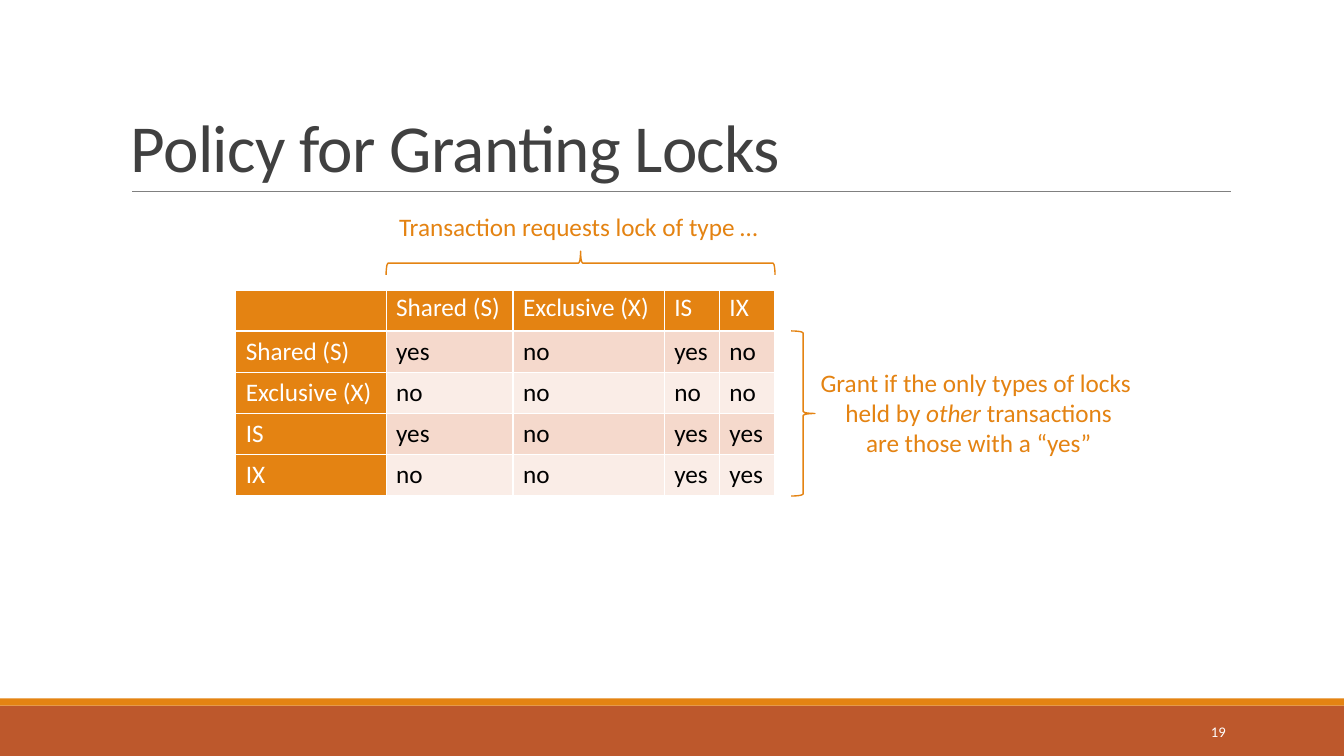
from lxml.etree import SubElement
from pptx import Presentation
from pptx.dml.color import RGBColor
from pptx.enum.shapes import MSO_CONNECTOR as LINE, MSO_SHAPE as SHAPE
from pptx.enum.text import MSO_ANCHOR as ANCHOR, PP_ALIGN as ALIGN
from pptx.oxml.ns import qn
from pptx.util import Cm, Pt

# Content
TITLE = "Policy for Granting Locks"
PAGE = "19"
REQUEST = [[("Transaction requests lock of type …", False)]]
GRANT = [
    [("Grant if the only types of locks ", False)],
    [("held by ", False), ("other", True), (" transactions", False)],
    [("are those with a “yes”", False)],
]
LOCKS = ["Shared (S)", "Exclusive (X)", "IS", "IX"]
GRANTED = [
    ["yes", "no", "yes", "no"],
    ["no", "no", "no", "no"],
    ["yes", "no", "yes", "yes"],
    ["no", "no", "yes", "yes"],
]

# Style and measures (cm)
FONT = "Calibri"
COLORS = {
    "orange": "E48312", "rust": "BD582C", "title": "404040", "rule": "808080",
    "white": "FFFFFF", "black": "000000", "odd": "F5D9CC", "even": "FAEDE7",
}
WIDTH, HEIGHT = 33.87, 19.05
TABLE_LEFT, TABLE_TOP = 5.94, 7.32
COLS = [3.79, 3.2, 3.81, 1.39, 1.4]
ROWS = [1.02] + [1.04] * len(LOCKS)
BRACE = 0.6  # depth of both braces


def rgb(name):
    return RGBColor.from_string(COLORS[name])


def style(font, size, color, italic=False):
    font.name, font.size, font.italic = FONT, Pt(size), italic
    font.color.rgb = rgb(color)


def add_text(x, y, w, h, lines, size, color, align, anchor=ANCHOR.TOP, wrap=False):
    tf = s.shapes.add_textbox(Cm(x), Cm(y), Cm(w), Cm(h)).text_frame
    tf.word_wrap, tf.vertical_anchor = wrap, anchor
    p = tf.paragraphs[0]
    p.alignment = align
    for i, line in enumerate(lines):
        if i:
            p.add_line_break()
        for text, italic in line:
            r = p.add_run()
            r.text = text
            style(r.font, size, color, italic)
    return p


def add_bar(y, h, color):
    sp = s.shapes.add_shape(SHAPE.RECTANGLE, 0, Cm(y), Cm(WIDTH), Cm(h))
    sp.shadow.inherit = False
    sp.fill.solid()
    sp.fill.fore_color.rgb = rgb(color)
    sp.line.fill.background()


def add_brace(kind, cx, cy, length, rotation=0):
    sp = s.shapes.add_shape(kind, Cm(cx - BRACE / 2), Cm(cy - length / 2),
                            Cm(BRACE), Cm(length))
    sp.rotation = rotation
    sp.shadow.inherit = False
    sp.fill.background()
    sp.line.color.rgb, sp.line.width = rgb("orange"), Pt(1)


def add_borders(cell, bottom):
    tc_pr = cell._tc.get_or_add_tcPr()
    for i, (side, pt) in enumerate([("L", 1), ("R", 1), ("T", 1), ("B", bottom)]):
        ln = tc_pr.makeelement(qn(f"a:ln{side}"), {"w": str(Pt(pt))})
        fill = SubElement(ln, qn("a:solidFill"))
        SubElement(fill, qn("a:srgbClr"), val=COLORS["white"])
        tc_pr.insert(i, ln)  # borders precede the fill


prs = Presentation()
prs.slide_width, prs.slide_height = Cm(WIDTH), Cm(HEIGHT)
s = prs.slides.add_slide(prs.slide_layouts[6])

# Footer bars and title rule
add_bar(17.78, 1.27, "rust")
add_bar(17.6, 0.18, "orange")
rule = s.shapes.add_connector(LINE.STRAIGHT, Cm(3.33), Cm(4.82), Cm(31.01), Cm(4.82))
rule.line.color.rgb, rule.line.width = rgb("rule"), Pt(0.5)
SubElement(rule._element.spPr, qn("a:effectLst"))

# Title and page number
p = add_text(3.05, 0.79, 27.94, 4.04, [[(TITLE, False)]], 48, "title",
             ALIGN.LEFT, ANCHOR.BOTTOM, True)
p.line_spacing = 0.85
p.runs[0]._r.get_or_add_rPr().set("spc", "-50")
add_text(27.51, 17.93, 3.63, 1.02, [[(PAGE, False)]], 10.5, "white",
         ALIGN.RIGHT, ANCHOR.MIDDLE, True)

# Lock compatibility table
table = s.shapes.add_table(len(ROWS), len(COLS), Cm(TABLE_LEFT), Cm(TABLE_TOP),
                           Cm(sum(COLS)), Cm(sum(ROWS))).table
for col, w in zip(table.columns, COLS):
    col.width = Cm(w)
for row, h in zip(table.rows, ROWS):
    row.height = Cm(h)
grid = [[""] + LOCKS] + [[lock] + row for lock, row in zip(LOCKS, GRANTED)]
for i, row in enumerate(grid):
    for j, text in enumerate(row):
        cell = table.cell(i, j)
        header = i == 0 or j == 0
        cell.text = text
        style(cell.text_frame.paragraphs[0].font, 18, "white" if header else "black")
        if i == 0:
            cell.margin_top = cell.margin_bottom = Cm(0.05)
        cell.fill.solid()
        cell.fill.fore_color.rgb = rgb("orange" if header else "odd" if i % 2 else "even")
        add_borders(cell, 1)

# Braces spanning the requested columns and the held rows
span_w, span_h = sum(COLS[1:]), sum(ROWS[1:])
add_brace(SHAPE.LEFT_BRACE, TABLE_LEFT + COLS[0] + span_w / 2, 6.63, span_w, 90)
add_brace(SHAPE.RIGHT_BRACE, 20.24, TABLE_TOP + ROWS[0] + span_h / 2, span_h)

# Brace labels
add_text(9.73, 5.21, 9.7, 1.02, REQUEST, 18, "orange", ALIGN.CENTER)
add_text(20.37, 9.12, 8.59, 2.57, GRANT, 18, "orange", ALIGN.CENTER)

prs.save("out.pptx")
